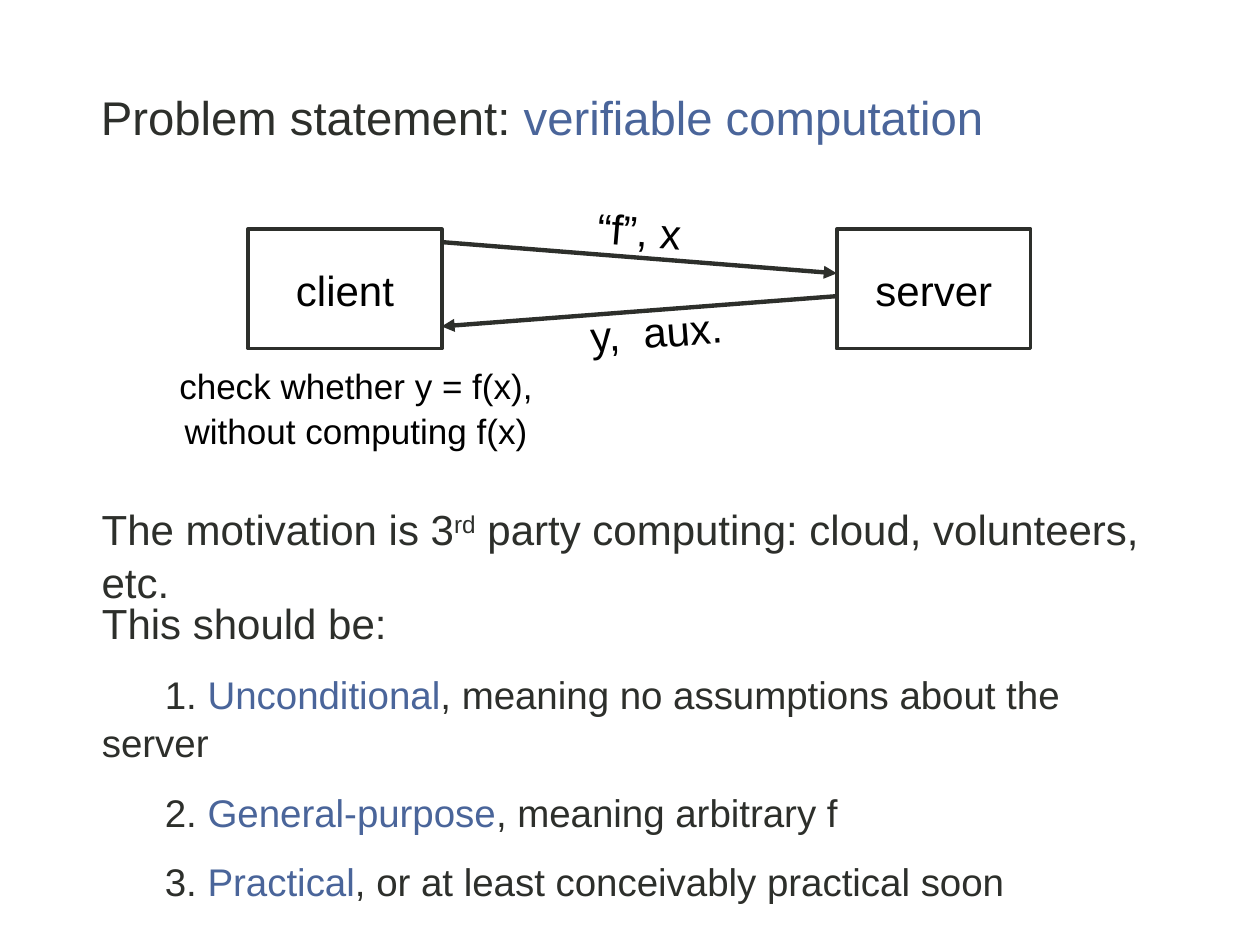
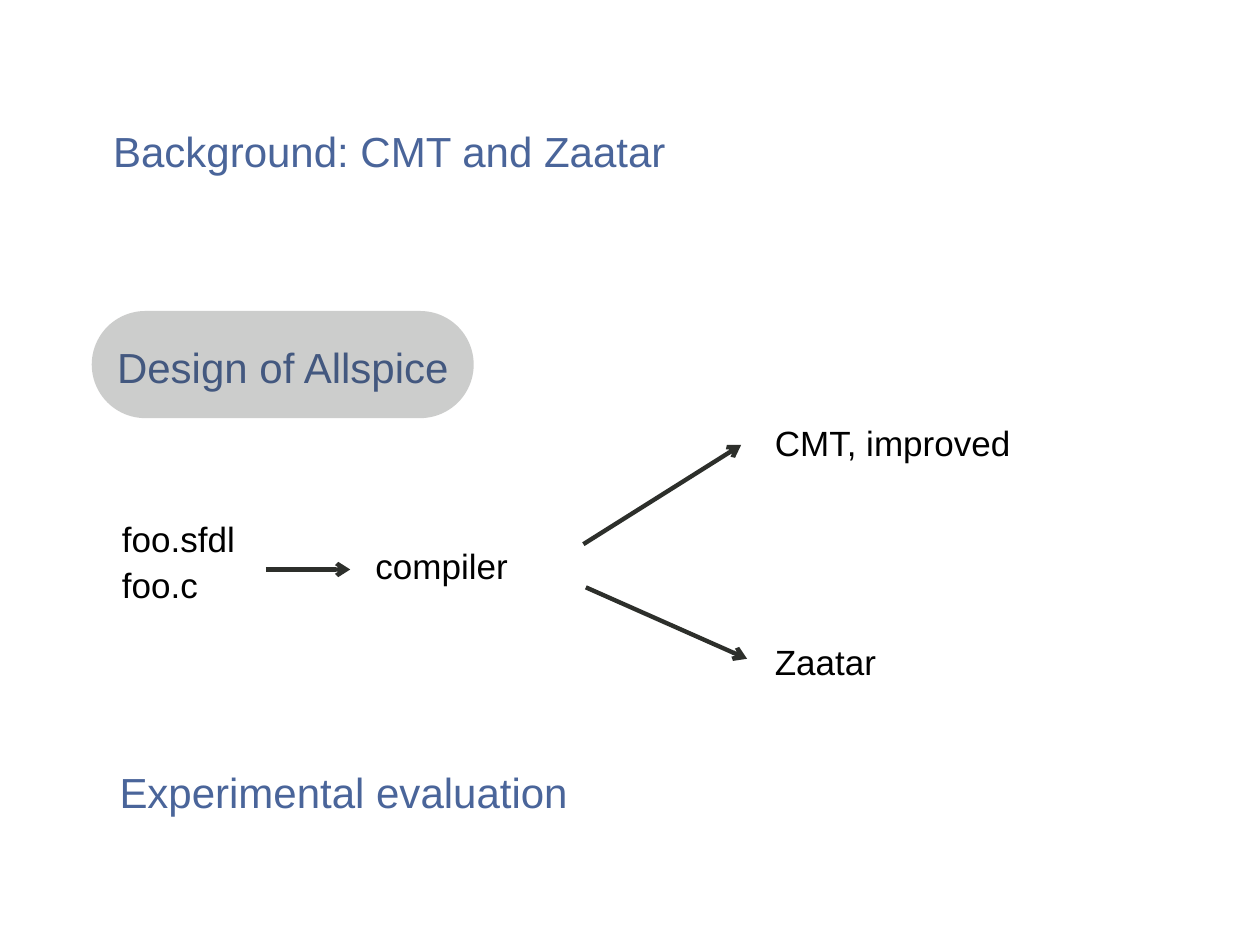
from lxml import etree
from pptx import Presentation
from pptx.dml.color import RGBColor
from pptx.enum import shapes, text
from pptx.oxml import ns
from pptx.util import Cm, Pt

DARK = RGBColor(0x2D, 0x2F, 0x2B)
BLUE = RGBColor(0x4A, 0x65, 0x9A)
BLACK = RGBColor(0, 0, 0)
FONT = "Arial"
LINE_SPACING = 1.05
LEFT, CENTER = text.PP_ALIGN.LEFT, text.PP_ALIGN.CENTER


def write_runs(paragraph, runs, size, align=LEFT):
    """Fill a paragraph with (text, colour) pairs and return its runs."""
    paragraph.alignment = align
    paragraph.line_spacing = LINE_SPACING
    for content, color in runs:
        run = paragraph.add_run()
        run.text = content
        run.font.name = FONT
        run.font.size = Pt(size)
        run.font.color.rgb = color
    return paragraph.runs


def place(shape, left, top, width, height):
    shape.left, shape.top = Cm(left), Cm(top)
    shape.width, shape.height = Cm(width), Cm(height)
    frame = shape.text_frame
    frame.word_wrap = True
    frame.auto_size = text.MSO_AUTO_SIZE.NONE
    frame.vertical_anchor = text.MSO_ANCHOR.TOP
    return frame


def add_text(slide, box, runs, size, align=LEFT, rotation=0):
    shape = slide.shapes.add_textbox(0, 0, 0, 0)
    frame = place(shape, *box)
    shape.rotation = rotation
    return write_runs(frame.paragraphs[0], runs, size, align)


def add_title(slide, runs):
    frame = place(slide.shapes.title, 1.78, 1.6, 23.62, 2.11)
    write_runs(frame.paragraphs[0], runs, 27)


def add_requirements(slide, intro, requirements):
    """Fill the body with an intro line and numbered, first-line-indented items."""
    frame = place(slide.placeholders[1], 1.8, 11.86, 21.92, 6.32)
    first = frame.paragraphs[0]
    first.space_before = Pt(0)
    set_indent(first, 0)
    write_runs(first, [(intro, DARK)], 24)
    for number, (keyword, meaning) in enumerate(requirements, 1):
        paragraph = frame.add_paragraph()
        paragraph.level = 1
        paragraph.space_before = Pt(12)
        set_indent(paragraph, Cm(1.27))
        write_runs(paragraph, [(f"{number}. ", DARK), (keyword, BLUE), (meaning, DARK)], 22)


def set_indent(paragraph, first_line):
    """Drop the bullet and indent only the first line."""
    properties = paragraph._p.get_or_add_pPr()
    properties.set("marL", "0")
    properties.set("indent", str(int(first_line)))
    etree.SubElement(properties, ns.qn("a:buNone"))


def add_party(slide, name, left):
    box = slide.shapes.add_shape(
        shapes.MSO_SHAPE.RECTANGLE, Cm(left), Cm(4.62), Cm(3.91), Cm(2.41))
    box.shadow.inherit = False
    box.fill.background()
    box.line.color.rgb = DARK
    box.line.width = Pt(2)
    box.text_frame.vertical_anchor = text.MSO_ANCHOR.MIDDLE
    write_runs(box.text_frame.paragraphs[0], [(name, BLACK)], 24, CENTER)


def add_arrow(slide, start, end, head):
    arrow = slide.shapes.add_connector(
        shapes.MSO_CONNECTOR.STRAIGHT, *map(Cm, start), *map(Cm, end))
    arrow.line.color.rgb = DARK
    arrow.line.width = Pt(2.5)
    etree.SubElement(arrow.line._get_or_add_ln(), ns.qn("a:tailEnd"), type=head)
    etree.SubElement(arrow._element.spPr, ns.qn("a:effectLst"))


def add_highlight(slide, left, top, width, height):
    """Lay a translucent pill over the current agenda topic."""
    pill = slide.shapes.add_shape(
        shapes.MSO_SHAPE.ROUNDED_RECTANGLE, Cm(left), Cm(top), Cm(width), Cm(height))
    pill.adjustments[0] = 0.5
    pill.shadow.inherit = False
    pill.line.fill.background()
    pill.fill.solid()
    pill.fill.fore_color.rgb = DARK
    color = pill._element.spPr.find(".//" + ns.qn("a:srgbClr"))
    etree.SubElement(color, ns.qn("a:alpha"), val="24000")


def build_problem_slide(presentation):
    slide = presentation.slides.add_slide(presentation.slide_layouts[1])
    add_title(slide, [("Problem statement: ", DARK), ("verifiable computation", BLUE)])
    add_requirements(slide, "This should be:", [
        ("Unconditional", ", meaning no assumptions about the server"),
        ("General-purpose", ", meaning arbitrary f"),
        ("Practical", ", or at least conceivably practical soon"),
    ])

    client_edge, server_edge = 8.9, 16.87
    add_party(slide, "client", 5)
    add_party(slide, "server", server_edge)
    add_arrow(slide, (client_edge, 4.88), (server_edge, 5.51), "triangle")
    add_arrow(slide, (server_edge, 5.97), (client_edge, 6.58), "triangle")
    add_text(slide, (10.19, 3.96, 5.41, 1.27), [("“f”, x", BLACK)], 24, CENTER, 4.9)
    add_text(slide, (10.52, 5.99, 5.41, 1.27), [("y,  aux.", BLACK)], 24, CENTER, 355.5)
    add_text(slide, (3.33, 7.19, 7.7, 1.96),
             [("check whether y = f(x), without computing f(x)", BLACK)], 20, CENTER)

    motivation = add_text(slide, (1.8, 9.98, 22.61, 1.75), [
        ("The motivation is 3", DARK), ("rd", DARK),
        (" party computing: cloud, volunteers, etc.", DARK)], 24)
    motivation[1]._r.get_or_add_rPr().set("baseline", "30000")


def build_agenda_slide(presentation):
    slide = presentation.slides.add_slide(presentation.slide_layouts[6])
    topics = [
        ("Background: CMT and Zaatar", 2.03, 2.36, 12.73),
        ("Design of Allspice", 2.11, 6.71, 9.42),
        ("Experimental evaluation", 2.16, 15.27, 15.75),
    ]
    for topic, left, top, width in topics:
        add_text(slide, (left, top, width, 1.27), [(topic, BLUE)], 24)

    pipeline = [
        ("foo.sfdl", 2.21, 10.26, 3.63, LEFT),
        ("foo.c", 2.21, 11.2, 2.79, LEFT),
        ("compiler", 6.58, 10.8, 4.65, CENTER),
        ("CMT, improved", 15.37, 8.33, 7.8, LEFT),
        ("Zaatar", 15.37, 12.75, 3.28, LEFT),
    ]
    for label, left, top, width, align in pipeline:
        add_text(slide, (left, top, width, 1.12), [(label, BLACK)], 20, align)

    add_arrow(slide, (5.36, 11.48), (7.06, 11.48), "arrow")
    add_arrow(slide, (11.76, 10.97), (14.94, 8.97), "arrow")
    add_arrow(slide, (11.81, 11.84), (15.06, 13.28), "arrow")
    add_highlight(slide, 1.85, 6.27, 7.7, 2.16)


def main():
    presentation = Presentation()
    presentation.slide_width, presentation.slide_height = Cm(25.4), Cm(19.05)
    build_problem_slide(presentation)
    build_agenda_slide(presentation)
    presentation.save("out.pptx")


if __name__ == "__main__":
    main()
